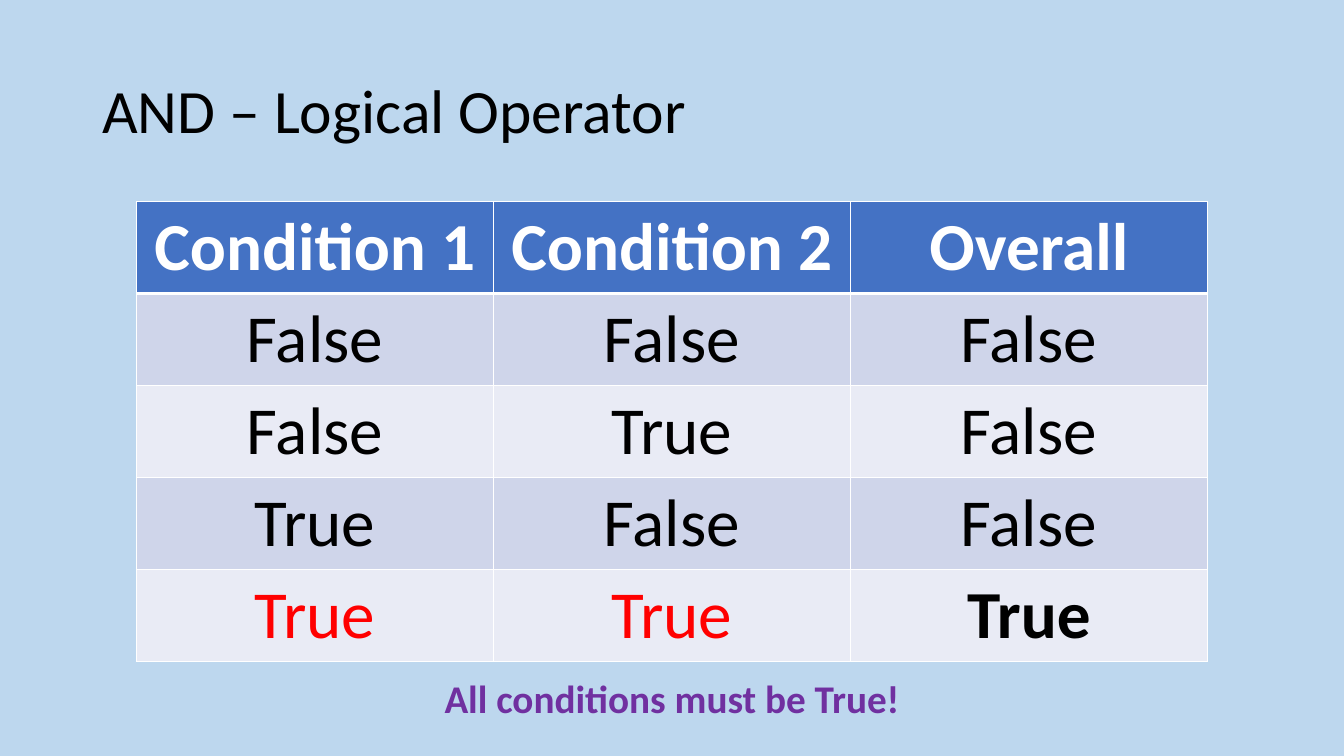
import pptx
import pptx.dml.color
import pptx.enum.text
import pptx.oxml
import pptx.oxml.ns
import pptx.util
from dataclasses import dataclass

Align = pptx.enum.text.PP_ALIGN
Anchor = pptx.enum.text.MSO_ANCHOR

FONT = "Calibri"
COLS, ROWS = 160, 90
HUES = {
    "page": "BDD7EE",
    "head": "4472C4",
    "odd": "CFD5EA",
    "even": "E9EBF5",
    "white": "FFFFFF",
    "black": "000000",
    "red": "FF0000",
    "purple": "7030A0",
}
TRUTH = [
    ("Condition 1", "Condition 2", "Overall"),
    ("False", "False", "False"),
    ("False", "True", "False"),
    ("True", "False", "False"),
    ("True", "True", "True"),
]

deck = pptx.Presentation()
deck.slide_width = pptx.util.Inches(13.33)
deck.slide_height = pptx.util.Inches(7.5)


@dataclass
class Style:
    size: int
    hue: str
    bold: bool = False
    align: Align = Align.CENTER


@dataclass
class Label:
    text: str
    left: float
    top: float
    width: float
    height: float
    style: Style
    anchor: Anchor = Anchor.TOP
    pitch: float = 1.0


def across(cols: float) -> int:
    return round(deck.slide_width * cols / COLS)


def down(rows: float) -> int:
    return round(deck.slide_height * rows / ROWS)


def color(hue: str) -> pptx.dml.color.RGBColor:
    return pptx.dml.color.RGBColor.from_string(HUES[hue])


def write(frame, text: str, style: Style) -> None:
    frame.text = text
    line = frame.paragraphs[0]
    line.alignment = style.align
    font = line.runs[0].font
    font.name = FONT
    font.size = pptx.util.Pt(style.size)
    font.bold = style.bold
    font.color.rgb = color(style.hue)


def place(slide, label: Label) -> None:
    box = slide.shapes.add_textbox(
        across(label.left), down(label.top), across(label.width), down(label.height)
    )
    frame = box.text_frame
    frame.word_wrap = True
    frame.vertical_anchor = label.anchor
    write(frame, label.text, label.style)
    frame.paragraphs[0].line_spacing = label.pitch


def edge(cell, side: str, points: int) -> None:
    space = pptx.oxml.ns.nsdecls("a")
    cell._tc.get_or_add_tcPr().append(
        pptx.oxml.parse_xml(
            f'<a:ln{side} {space} w="{pptx.util.Pt(points)}"><a:solidFill>'
            f'<a:srgbClr val="{HUES["white"]}"/></a:solidFill></a:ln{side}>'
        )
    )


def look(row: int, col: int) -> Style:
    if row == 0:
        return Style(48, "white", True)
    if row == len(TRUTH) - 1:
        return Style(48, "black", True) if col == 2 else Style(48, "red")
    return Style(48, "black")


def chart(slide, top: float, wide: float, tall: float) -> None:
    count = len(TRUTH[0])
    span = wide * count
    grid = slide.shapes.add_table(
        len(TRUTH), count, across((COLS - span) / 2), down(top),
        across(span), down(tall * len(TRUTH)),
    ).table
    for row, words in enumerate(TRUTH):
        band = "head" if row == 0 else ("even", "odd")[row % 2]
        thick = {"T": 3 if row == 1 else 1, "B": 3 if row == 0 else 1}
        for col, word in enumerate(words):
            cell = grid.cell(row, col)
            for side in "LRTB":
                edge(cell, side, thick.get(side, 1))
            cell.fill.solid()
            cell.fill.fore_color.rgb = color(band)
            write(cell.text_frame, word, look(row, col))


def main() -> None:
    slide = deck.slides.add_slide(deck.slide_layouts[6])
    slide.background.fill.solid()
    slide.background.fill.fore_color.rgb = color("page")
    title = Style(44, "black", align=Align.LEFT)
    place(slide, Label("AND – Logical Operator", 11, 4.8, 138, 17.4,
                       title, Anchor.MIDDLE, 0.9))
    chart(slide, 24, 42.5, 10.95)
    place(slide, Label("All conditions must be True!", 50.4, 79.7, 59.2, 6.8,
                       Style(28, "purple", True)))
    deck.save("out.pptx")


if __name__ == "__main__":
    main()
